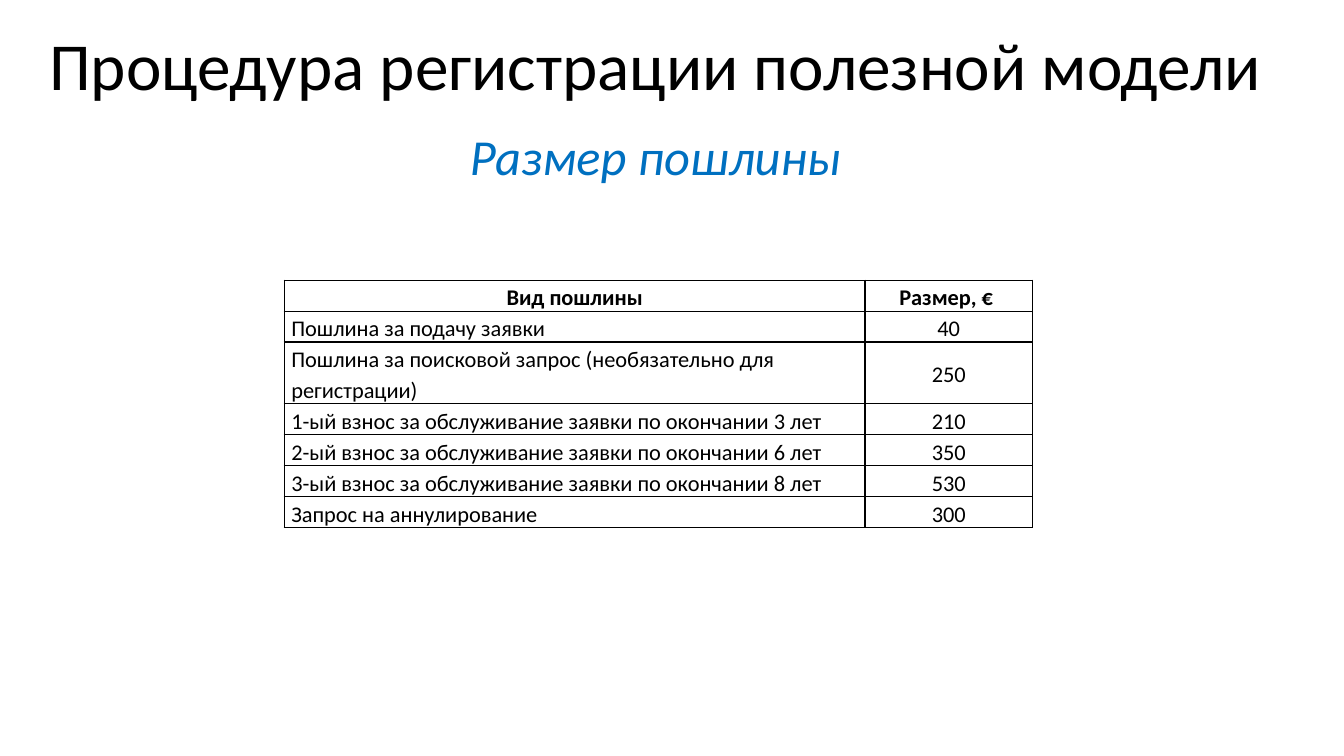
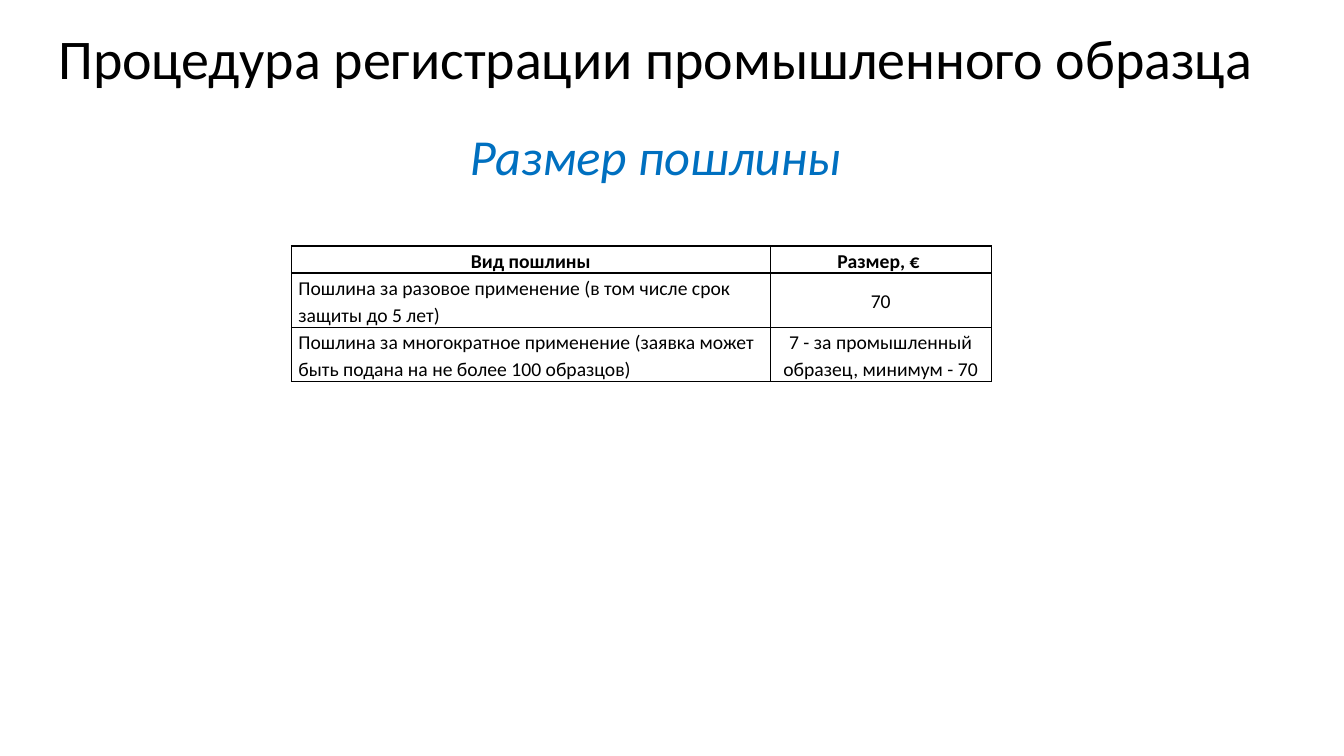
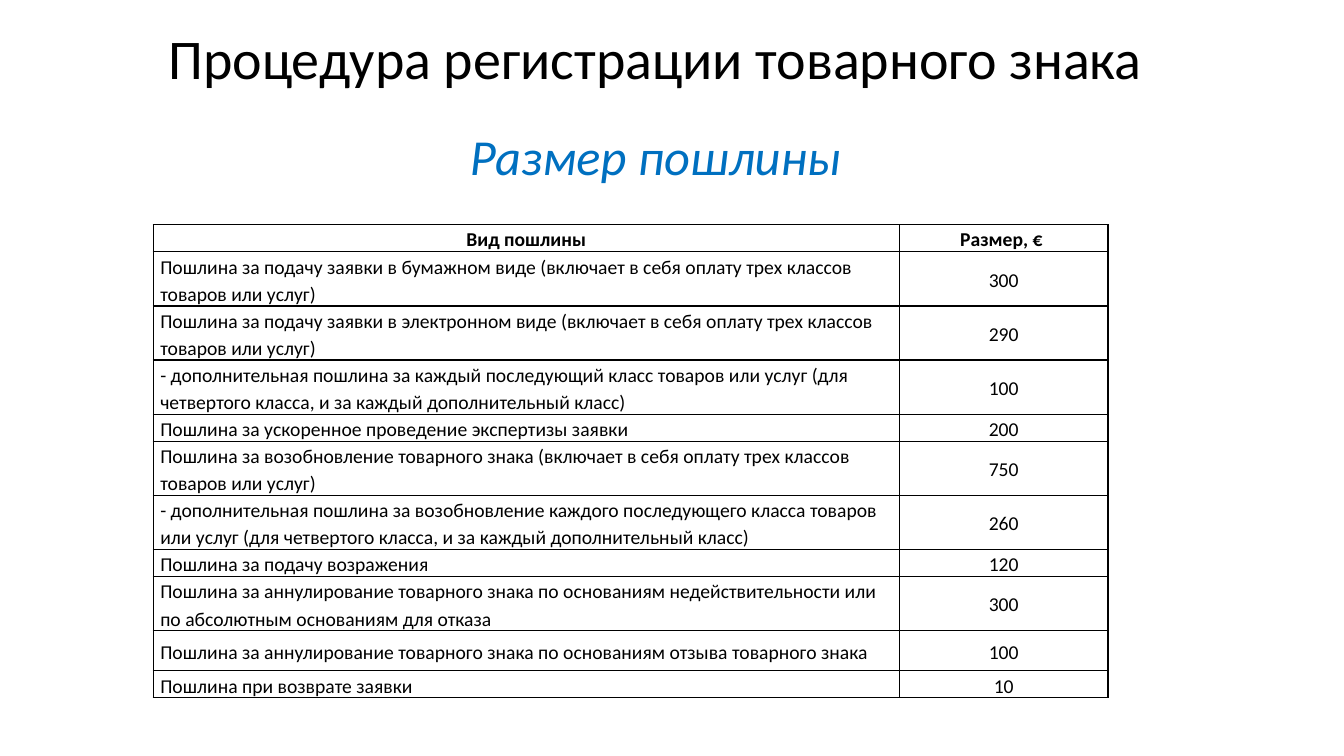
from dataclasses import dataclass
from typing import Any

from lxml.etree import SubElement
from pptx import Presentation
from pptx.dml.color import RGBColor
from pptx.enum.text import MSO_ANCHOR as Anchor, MSO_AUTO_SIZE as AutoSize, PP_ALIGN as Align
from pptx.oxml.ns import qn
from pptx.util import Inches, Pt

FONT = "Calibri"
BLACK = "000000"
BLUE = "0070C0"
TEXT_CENTER = 6.5
HEADING_TOP = 0.18
SUBHEADING_TOP = 1.19
SUBHEADING = "Размер пошлины"
HEADER = ("Вид пошлины", "Размер, € ")
LINE_HEIGHTS = {16: 0.3, 14: 0.26}
CELL_FORMAT = {
    "vertical_anchor": Anchor.MIDDLE,
    "margin_left": Inches(0.07),
    "margin_right": Inches(0.07),
    "margin_top": 0,
    "margin_bottom": 0,
}
FRAME_FORMAT = {"word_wrap": False, "auto_size": AutoSize.SHAPE_TO_FIT_TEXT}


@dataclass(frozen=True)
class Fee:
    kind: str
    amount: str
    lines: int = 1
    minimum_height: float = 0


@dataclass(frozen=True)
class FeeSlide:
    heading: str
    heading_size: int
    heading_width: float
    left: float
    top: float
    columns: tuple[float, float]
    text_size: int
    fees: tuple[Fee, ...]


FEE_SLIDES = (
    FeeSlide(
        "Процедура регистрации полезной модели", 48, 12.36,
        2.82, 2.78, (5.76, 1.66), 16,
        (
            Fee("Пошлина за подачу заявки", "40"),
            Fee("Пошлина за поисковой запрос (необязательно для регистрации)", "250", 2),
            Fee("1-ый взнос за обслуживание заявки по окончании 3 лет", "210"),
            Fee("2-ый взнос за обслуживание заявки по окончании 6 лет", "350"),
            Fee("3-ый взнос за обслуживание заявки по окончании 8 лет", "530"),
            Fee("Запрос на аннулирование", "300"),
        ),
    ),
    FeeSlide(
        "Процедура регистрации промышленного образца", 40, 12.17,
        2.89, 2.44, (4.75, 2.19), 14,
        (
            Fee("Пошлина за разовое применение (в том числе срок защиты до 5 лет)", "70", 2),
            Fee("Пошлина за многократное применение (заявка может быть подана на не более "
                "100 образцов)", "7 - за промышленный образец, минимум - 70", 2),
        ),
    ),
    FeeSlide(
        "Процедура регистрации товарного знака", 40, 9.96,
        1.52, 2.23, (7.4, 2.07), 14,
        (
            Fee("Пошлина за подачу заявки в бумажном виде (включает в себя оплату трех "
                "классов товаров или услуг)", "300", 2),
            Fee("Пошлина за подачу заявки в электронном виде (включает в себя оплату трех "
                "классов товаров или услуг)", "290", 2),
            Fee("- дополнительная пошлина за каждый последующий класс товаров или услуг "
                "(для четвертого класса, и за каждый дополнительный класс)", "100", 2),
            Fee("Пошлина за ускоренное проведение экспертизы заявки", "200"),
            Fee("Пошлина за возобновление товарного знака (включает в себя оплату трех "
                "классов товаров или услуг)", "750", 2),
            Fee("- дополнительная пошлина за возобновление каждого последующего класса "
                "товаров или услуг (для четвертого класса, и за каждый дополнительный класс)",
                "260", 2),
            Fee("Пошлина за подачу возражения", "120"),
            Fee("Пошлина за аннулирование товарного знака по основаниям недействительности "
                "или по абсолютным основаниям для отказа", "300", 2),
            Fee("Пошлина за аннулирование товарного знака по основаниям отзыва товарного "
                "знака", "100", minimum_height=0.4),
            Fee("Пошлина при возврате заявки", "10"),
        ),
    ),
)


def apply_format(target: Any, values: dict[str, Any]) -> None:
    for name, value in values.items():
        setattr(target, name, value)


def write_text(paragraph: Any, text: str, size: int, color: str = BLACK,
               alignment: Align = Align.CENTER, **font_format: bool) -> None:
    paragraph.alignment = alignment
    run = paragraph.add_run()
    run.text = text
    apply_format(run.font, {"name": FONT, "size": Pt(size), **font_format})
    run.font.color.rgb = RGBColor.from_string(color)


def add_centered_line(slide: Any, text: str, top: float, width: float, size: int,
                      color: str = BLACK, **font_format: bool) -> None:
    """Add a one-line text box centred on the shared text axis."""
    height = size * 1.2 / 72 + 0.1
    shape = slide.shapes.add_textbox(
        Inches(TEXT_CENTER - width / 2), Inches(top), Inches(width), Inches(height))
    apply_format(shape.text_frame, FRAME_FORMAT)
    write_text(shape.text_frame.paragraphs[0], text, size, color, **font_format)


def add_borders(cell: Any) -> None:
    properties = cell._tc.get_or_add_tcPr()
    for side in ("lnL", "lnR", "lnT", "lnB"):
        line = SubElement(properties, qn(f"a:{side}"), w=str(Pt(1)))
        fill = SubElement(line, qn("a:solidFill"))
        SubElement(fill, qn("a:srgbClr"), val=BLACK)


def add_fee_table(slide: Any, content: FeeSlide) -> None:
    rows = (Fee(*HEADER), *content.fees)
    line_height = LINE_HEIGHTS[content.text_size]
    heights = [max(row.lines * line_height, row.minimum_height) for row in rows]
    table = slide.shapes.add_table(
        len(rows), len(content.columns), Inches(content.left), Inches(content.top),
        Inches(sum(content.columns)), Inches(sum(heights))).table
    apply_format(table, {"first_row": True, "horz_banding": False})
    for column, width in zip(table.columns, content.columns):
        column.width = Inches(width)
    for row_index, (row, height) in enumerate(zip(rows, heights)):
        table.rows[row_index].height = Inches(height)
        is_header = row_index == 0
        for column_index, text in enumerate((row.kind, row.amount)):
            cell = table.cell(row_index, column_index)
            apply_format(cell, CELL_FORMAT)
            add_borders(cell)
            cell.fill.background()
            paragraph = cell.text_frame.paragraphs[0]
            paragraph.line_spacing = 1.15
            alignment = Align.CENTER if is_header or column_index else Align.LEFT
            write_text(paragraph, text, content.text_size, alignment=alignment, bold=is_header)


def main() -> None:
    presentation = Presentation()
    apply_format(presentation, {"slide_width": Inches(13.33), "slide_height": Inches(7.5)})
    blank_layout = presentation.slide_layouts[6]
    for content in FEE_SLIDES:
        slide = presentation.slides.add_slide(blank_layout)
        add_centered_line(slide, content.heading, HEADING_TOP, content.heading_width,
                          content.heading_size)
        add_centered_line(slide, SUBHEADING, SUBHEADING_TOP, 3.92, 36, BLUE, italic=True)
        add_fee_table(slide, content)
    presentation.save("out.pptx")


if __name__ == "__main__":
    main()
